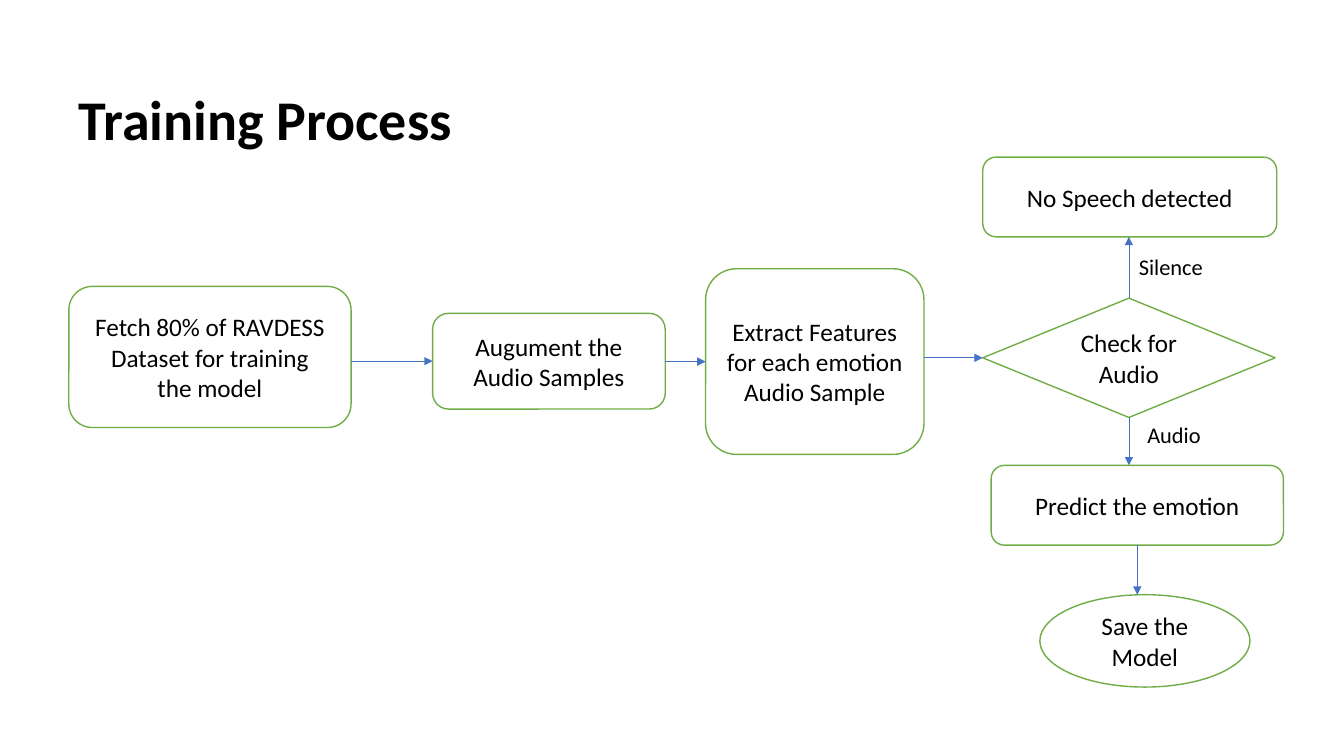
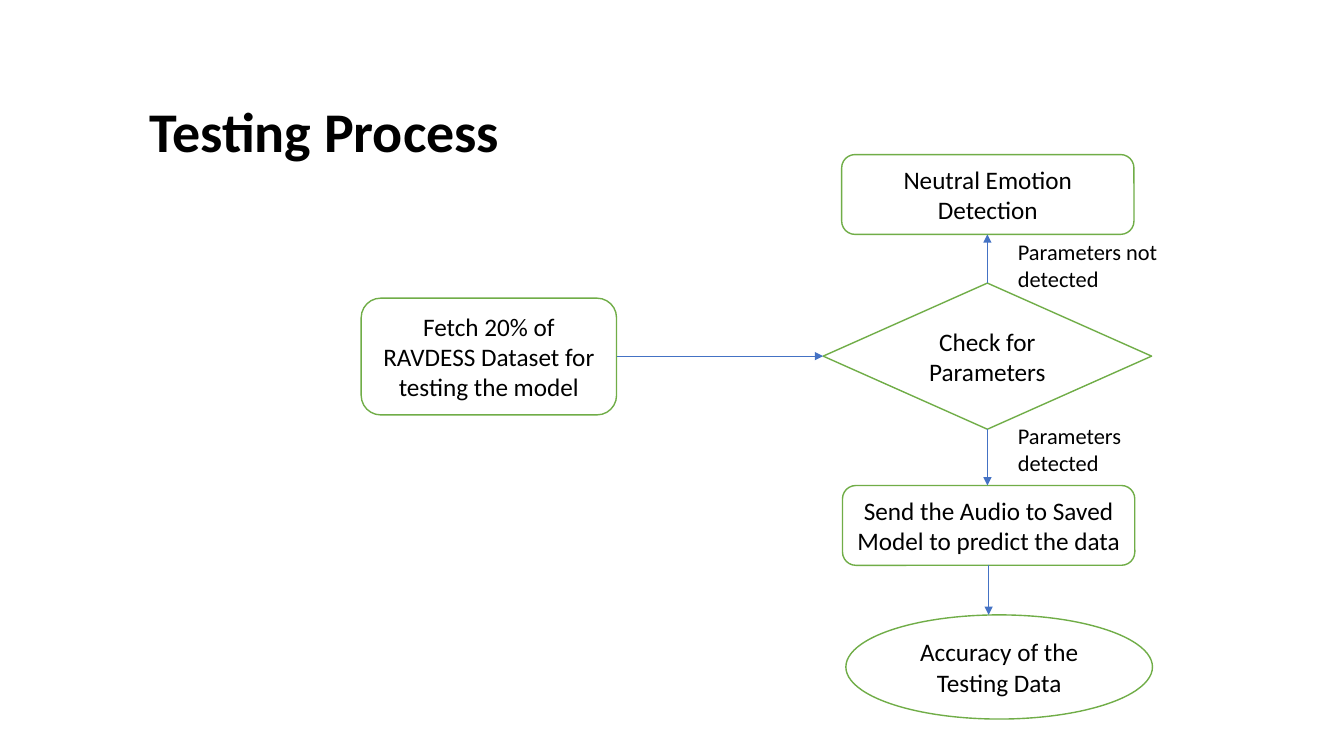
import dataclasses

import pptx
import pptx.dml.color
import pptx.enum.shapes
import pptx.enum.text
import pptx.oxml
import pptx.oxml.ns
import pptx.util

SHAPE = pptx.enum.shapes.MSO_SHAPE
ALIGN = pptx.enum.text.PP_ALIGN
ANCHOR = pptx.enum.text.MSO_ANCHOR
AUTO_SIZE = pptx.enum.text.MSO_AUTO_SIZE

# The slide is a grid of 160 columns by 90 rows of square cells
COLS, ROWS = 160, 90
WIDTH, HEIGHT = pptx.util.Inches(13.33), pptx.util.Inches(7.5)


def rgb(value):
    return pptx.dml.color.RGBColor.from_string(value)


@dataclasses.dataclass(frozen=True)
class Theme:
    font: str = "Calibri"
    ink: str = "000000"
    paper: str = "FFFFFF"
    outline: str = "70AD47"
    arrow: str = "4472C4"
    title_size: int = 40
    node_size: int = 18
    label_size: int = 16
    outline_width: float = 1
    arrow_width: float = 0.5


THEME = Theme()


def place(col, row, cols, rows):
    """Turn grid cells into left, top, width and height."""
    return (round(col * WIDTH / COLS), round(row * HEIGHT / ROWS),
            round(cols * WIDTH / COLS), round(rows * HEIGHT / ROWS))


def write(tf, text, size, align=ALIGN.LEFT, bold=False):
    tf.word_wrap = True
    tf.text = text
    for p in tf.paragraphs:
        p.alignment = align
        p.font.name = THEME.font
        p.font.size = pptx.util.Pt(size)
        p.font.bold = bold
        p.font.color.rgb = rgb(THEME.ink)


def add_title(s, text, col, row):
    tf = s.shapes.add_textbox(*place(col, row, 117, 16.8)).text_frame
    write(tf, text, THEME.title_size, bold=True)
    tf.vertical_anchor = ANCHOR.MIDDLE
    tf.paragraphs[0].line_spacing = 0.9


def add_node(s, text, cells, kind=SHAPE.ROUNDED_RECTANGLE):
    sp = s.shapes.add_shape(kind, *place(*cells))
    sp.shadow.inherit = False
    sp.fill.solid()
    sp.fill.fore_color.rgb = rgb(THEME.paper)
    sp.line.color.rgb = rgb(THEME.outline)
    sp.line.width = pptx.util.Pt(THEME.outline_width)
    write(sp.text_frame, text, THEME.node_size, ALIGN.CENTER)
    sp.text_frame.vertical_anchor = ANCHOR.MIDDLE
    return sp


def add_label(s, text, cells):
    tf = s.shapes.add_textbox(*place(*cells)).text_frame
    write(tf, text, THEME.label_size)
    tf.auto_size = AUTO_SIZE.SHAPE_TO_FIT_TEXT


def add_arrow(s, x1, y1, x2, y2):
    line = s.shapes.add_connector(
        pptx.enum.shapes.MSO_CONNECTOR.STRAIGHT, x1, y1, x2, y2)
    line.line.color.rgb = rgb(THEME.arrow)
    line.line.width = pptx.util.Pt(THEME.arrow_width)
    props = line.element.spPr
    ln = props.find(pptx.oxml.ns.qn("a:ln"))
    ln.append(ln.makeelement(pptx.oxml.ns.qn("a:tailEnd"), {"type": "triangle"}))
    props.append(props.makeelement(pptx.oxml.ns.qn("a:effectLst"), {}))


def arrow_right(s, a, b):
    """Level arrow at the middle of the target."""
    y = b.top + b.height // 2
    add_arrow(s, a.left + a.width, y, b.left, y)


def arrow_up(s, a, b):
    x = a.left + a.width // 2
    add_arrow(s, x, a.top, x, b.top + b.height)


def arrow_down(s, a, b):
    x = a.left + a.width // 2
    add_arrow(s, x, a.top + a.height, x, b.top)


def connect_flow(s, steps, check, rejected, accepted, result):
    """Steps run right to the check, which branches up and down."""
    for a, b in zip(steps, steps[1:] + [check]):
        arrow_right(s, a, b)
    arrow_up(s, check, rejected)
    arrow_down(s, check, accepted)
    arrow_down(s, accepted, result)


def build_training(s):
    add_title(s, "Training Process", 8.2, 6.2)

    # Preparation steps
    fetch = add_node(s, "Fetch 80% of RAVDESS Dataset for training\nthe model",
                     (8.2, 34.1, 33.6, 16.8))
    augment = add_node(s, "Augument the Audio Samples", (51.5, 37.3, 27.7, 11.4))
    extract = add_node(s, "Extract Features\vfor each emotion Audio Sample",
                       (84, 32, 26, 22.1))

    # Decision and its outcomes
    silent = add_node(s, "No Speech detected", (117, 18.7, 35, 9.5))
    check = add_node(s, "Check for Audio", (117, 35.5, 34.8, 14.2),
                     SHAPE.FLOWCHART_DECISION)
    predict = add_node(s, "Predict the emotion", (118, 55.4, 34.8, 9.5))
    save = add_node(s, "Save the Model", (123.8, 70.8, 25, 11), SHAPE.OVAL)

    connect_flow(s, [fetch, augment, extract], check, silent, predict, save)
    add_label(s, "Silence", (134.4, 29.6, 15, 4.4))
    add_label(s, "Audio", (135.4, 49.6, 15, 4.4))


def build_testing(s):
    add_title(s, "Testing Process", 16.6, 7.6)

    # Input step
    fetch = add_node(s, "Fetch 20% of RAVDESS Dataset for testing the model",
                     (43, 35.5, 30.4, 13.9))

    # Decision and its outcomes
    neutral = add_node(s, "Neutral Emotion Detection", (100.2, 18.4, 34.8, 9.5))
    check = add_node(s, "Check for Parameters", (98, 33.7, 39.1, 17.4),
                     SHAPE.FLOWCHART_DECISION)
    send = add_node(s, "Send the Audio to Saved Model to predict the data",
                    (100.3, 57.8, 34.8, 9.5))
    accuracy = add_node(s, "Accuracy of the Testing Data",
                        (100.7, 73.2, 36.5, 12.4), SHAPE.OVAL)

    connect_flow(s, [fetch], check, neutral, send, accuracy)
    add_label(s, "Parameters not detected", (120, 27.8, 20.9, 7.7))
    add_label(s, "Parameters detected", (120, 49.7, 20.9, 7.7))


def main():
    prs = pptx.Presentation()
    prs.slide_width, prs.slide_height = WIDTH, HEIGHT
    blank = prs.slide_layouts[6]
    for build in (build_training, build_testing):
        build(prs.slides.add_slide(blank))
    prs.save("out.pptx")


main()
